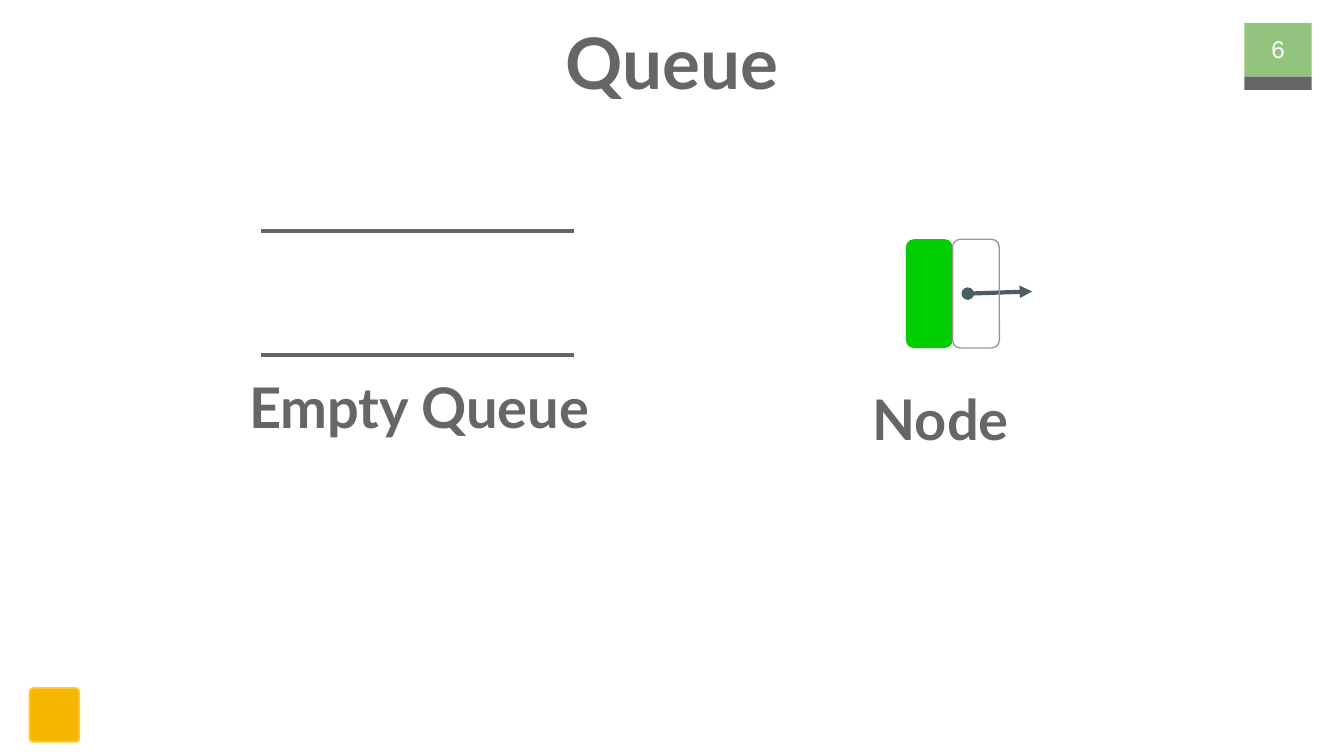
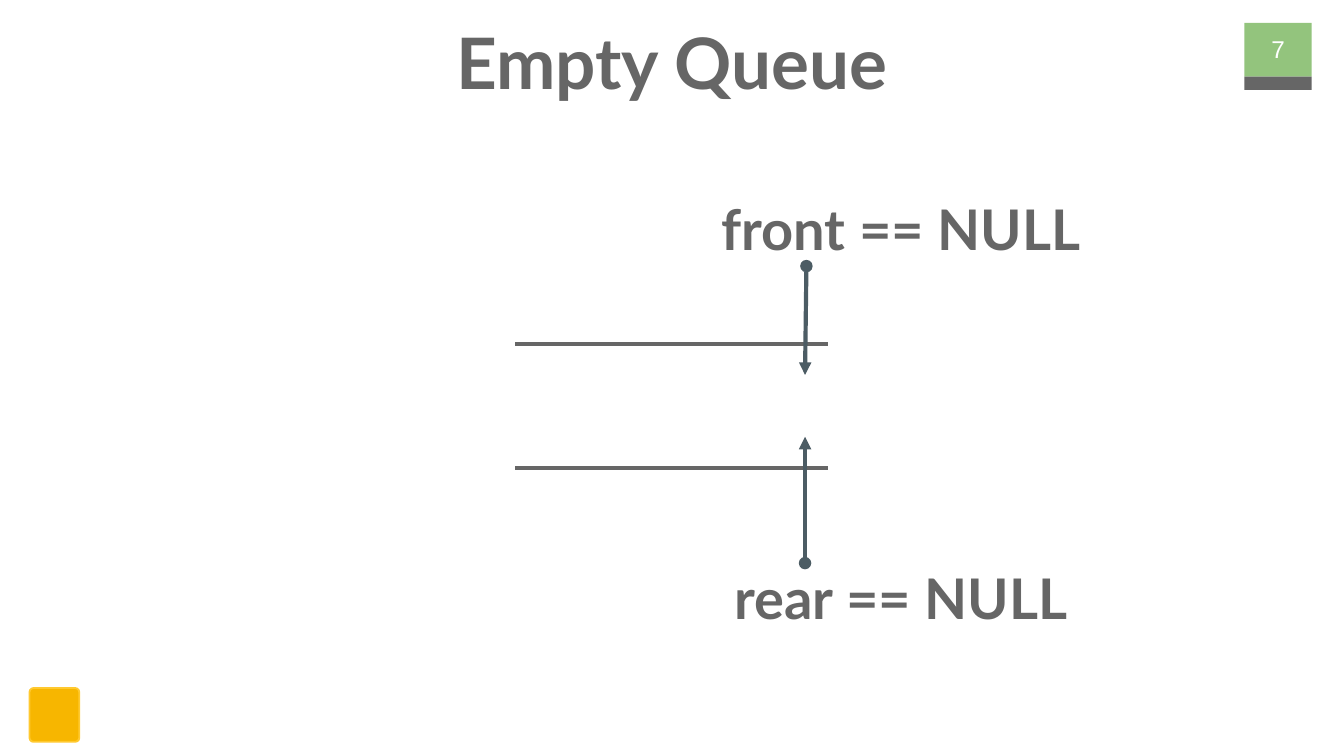
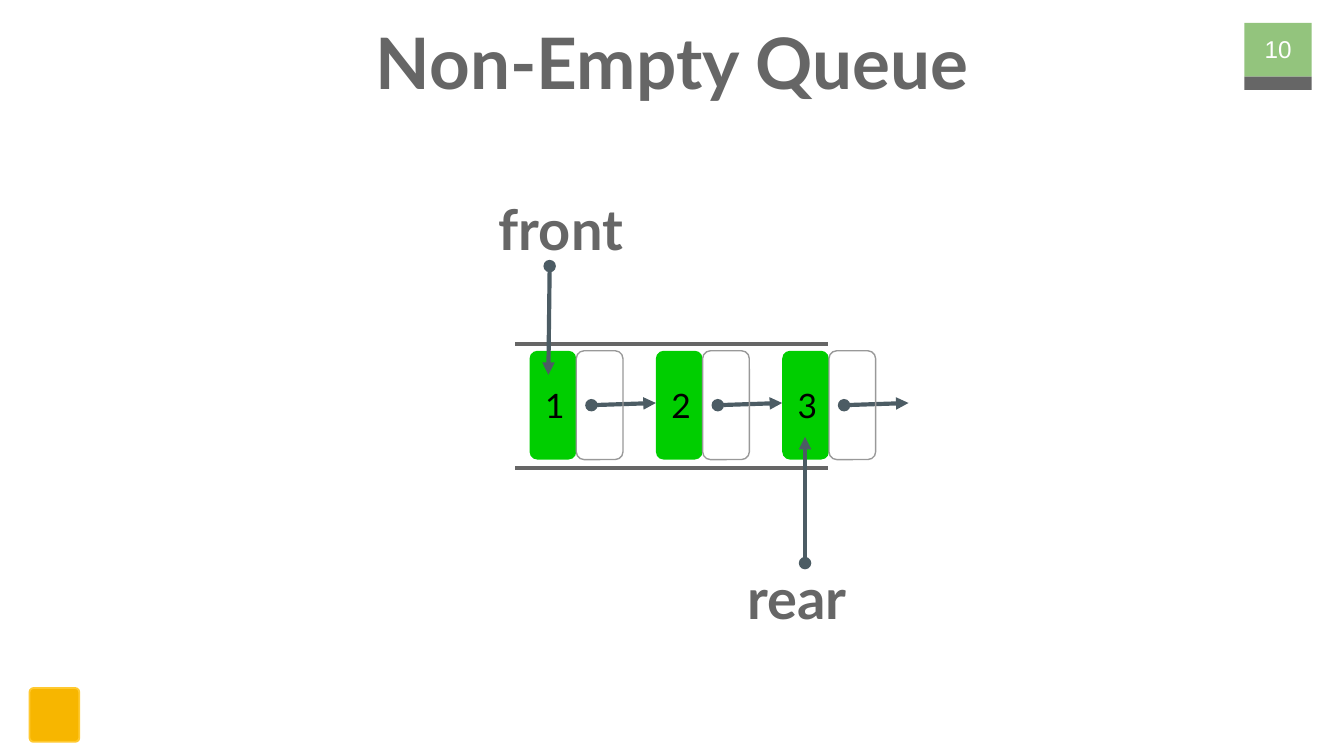
from collections import namedtuple

from lxml.etree import SubElement
from pptx import Presentation
from pptx.dml.color import RGBColor
from pptx.enum.shapes import MSO_CONNECTOR, MSO_SHAPE
from pptx.enum.text import MSO_ANCHOR, MSO_AUTO_SIZE, PP_ALIGN
from pptx.oxml.ns import qn
from pptx.util import Inches, Pt

GREY = RGBColor(0x66, 0x66, 0x66)
LIGHT_GREY = RGBColor(0x99, 0x99, 0x99)
SLATE = RGBColor(0x4C, 0x5C, 0x64)
SAGE = RGBColor(0x93, 0xC4, 0x7D)
GREEN = RGBColor(0x00, 0xCE, 0x00)
AMBER = RGBColor(0xF7, 0xB6, 0x00)
GOLD = RGBColor(0xFF, 0xC9, 0x2F)
WHITE = RGBColor(0xFF, 0xFF, 0xFF)
BLACK = RGBColor(0x00, 0x00, 0x00)

Box = namedtuple("Box", "x y w h")

PAGE_W = 10
PAGE_H = PAGE_W * 9 / 16
TITLE = Box(0.34, 0.04, 9.32, 0.63)
NUMBER = Box(9.21, 0.15, 0.6, 0.43)
BADGE = Box(9.26, 0.17, 0.5, 0.5)
EMBLEM = Box(0.22, 5.12, 0.37, 0.4)

QUEUE = Box(3.83, 2.56, 2.33, 0.92)
NODE_W, NODE_H = 0.94, 0.81
NODE_INSET = 0.11
FRONT_X = QUEUE.x + 0.25
REAR_X = QUEUE.x + 2.16
CAPTION_H = 0.37


def within(box, x, y, w, h):
    """Box given by shares of another box."""
    return Box(box.x + x * box.w, box.y + y * box.h, w * box.w, h * box.h)


def write(sp, text, size, font, color, bold=False, anchor=MSO_ANCHOR.MIDDLE):
    tf = sp.text_frame
    tf.word_wrap = True
    tf.auto_size = MSO_AUTO_SIZE.NONE
    tf.vertical_anchor = anchor
    tf.margin_left = tf.margin_right = Inches(0.1)
    tf.margin_top = tf.margin_bottom = Inches(0.1)
    p = tf.paragraphs[0]
    p.text = text
    p.alignment = PP_ALIGN.CENTER
    p.font.size = Pt(size)
    p.font.name = font
    p.font.bold = bold
    p.font.color.rgb = color


def add_text(slide, box, *style, **options):
    sp = slide.shapes.add_textbox(*map(Inches, box))
    write(sp, *style, **options)


def add_block(slide, kind, box, fill=None, line=None, width=1):
    sp = slide.shapes.add_shape(kind, *map(Inches, box))
    sp.shadow.inherit = False
    if fill is None:
        sp.fill.background()
    else:
        sp.fill.solid()
        sp.fill.fore_color.rgb = fill
    if line is None:
        sp.line.fill.background()
    else:
        sp.line.color.rgb = line
        sp.line.width = Pt(width)
    return sp


def add_line(slide, x1, y1, x2, y2, color):
    sp = slide.shapes.add_connector(
        MSO_CONNECTOR.STRAIGHT, *map(Inches, (x1, y1, x2, y2)))
    sp.line.color.rgb = color
    sp.line.width = Pt(2.25)
    SubElement(sp._element.spPr, qn("a:effectLst"))
    return sp


def add_pointer(slide, x1, y1, x2, y2):
    """Arrow that starts with a dot."""
    ln = add_line(slide, x1, y1, x2, y2, SLATE).line._get_or_add_ln()
    SubElement(ln, qn("a:headEnd"), type="oval")
    SubElement(ln, qn("a:tailEnd"), type="triangle")


def add_caption(slide, text, x, y, w):
    add_text(slide, Box(x, y, w, CAPTION_H), text, 30, "Lato", GREY, bold=True)


def add_rails(slide, box):
    for y in (box.y + box.h, box.y):
        add_line(slide, box.x + box.w, y, box.x, y, GREY)


def add_node(slide, x, y, value=None):
    """Value cell and link cell side by side, with an arrow to the next node."""
    box = Box(x, y, NODE_W, NODE_H)
    add_pointer(slide, x + 0.49 * box.w, y + 0.5 * box.h,
                x + box.w, y + 0.48 * box.h)
    cell = add_block(slide, MSO_SHAPE.ROUNDED_RECTANGLE,
                     within(box, 0, 0, 0.37, 1), fill=GREEN)
    if value is not None:
        write(cell, str(value), 18, "Lato", BLACK)
    add_block(slide, MSO_SHAPE.ROUNDED_RECTANGLE,
              within(box, 0.37, 0, 0.37, 1), line=LIGHT_GREY, width=0.75)


def add_front(slide, text, x, caption_x, caption_w):
    add_pointer(slide, x + 0.01, QUEUE.y - 0.58, x, QUEUE.y + 0.23)
    add_caption(slide, text, caption_x, QUEUE.y - 1.05, caption_w)


def add_rear(slide, text, x, caption_x, caption_w):
    bottom = QUEUE.y + QUEUE.h
    add_pointer(slide, x, bottom + 0.71, x, bottom - 0.23)
    add_caption(slide, text, caption_x, bottom + 0.78, caption_w)


def add_page(prs, title, number):
    slide = prs.slides.add_slide(prs.slide_layouts[5])
    add_block(slide, MSO_SHAPE.RECTANGLE, within(BADGE, 0, 0, 1, 0.8), SAGE)
    add_block(slide, MSO_SHAPE.RECTANGLE, within(BADGE, 0, 0.8, 1, 0.2), GREY)
    add_block(slide, MSO_SHAPE.ROUNDED_RECTANGLE, EMBLEM, AMBER,
              GOLD).adjustments[0] = 0.08
    sp = slide.shapes.title
    sp.left, sp.top, sp.width, sp.height = map(Inches, TITLE)
    write(sp, title, 38, "Lato", GREY, bold=True, anchor=MSO_ANCHOR.TOP)
    add_text(slide, NUMBER, str(number), 13, "Arial", WHITE)
    return slide


def build_overview(prs):
    slide = add_page(prs, "Queue", 6)
    add_caption(slide, "Empty Queue", 1.67, 2.84, 2.9)
    add_rails(slide, QUEUE._replace(x=1.94, y=1.72))
    add_caption(slide, "Node", 5.55, 2.93, 2.9)
    add_node(slide, 6.74, 1.78)


def build_empty_queue(prs):
    slide = add_page(prs, "Empty Queue", 7)
    add_rails(slide, QUEUE)
    add_front(slide, "front == NULL", REAR_X, 4.81, 3.79)
    add_rear(slide, "rear == NULL", REAR_X, 4.81, 3.79)


def build_filled_queue(prs):
    slide = add_page(prs, "Non-Empty Queue", 10)
    add_rails(slide, QUEUE)
    for i in reversed(range(3)):
        add_node(slide, QUEUE.x + NODE_INSET + i * NODE_W, QUEUE.y + 0.05, i + 1)
    add_front(slide, "front ", FRONT_X, 2.9, 2.65)
    add_rear(slide, "rear ", REAR_X, 4.81, 2.33)


def main():
    prs = Presentation()
    prs.slide_width = Inches(PAGE_W)
    prs.slide_height = Inches(PAGE_H)
    build_overview(prs)
    build_empty_queue(prs)
    build_filled_queue(prs)
    prs.save("out.pptx")


if __name__ == "__main__":
    main()
